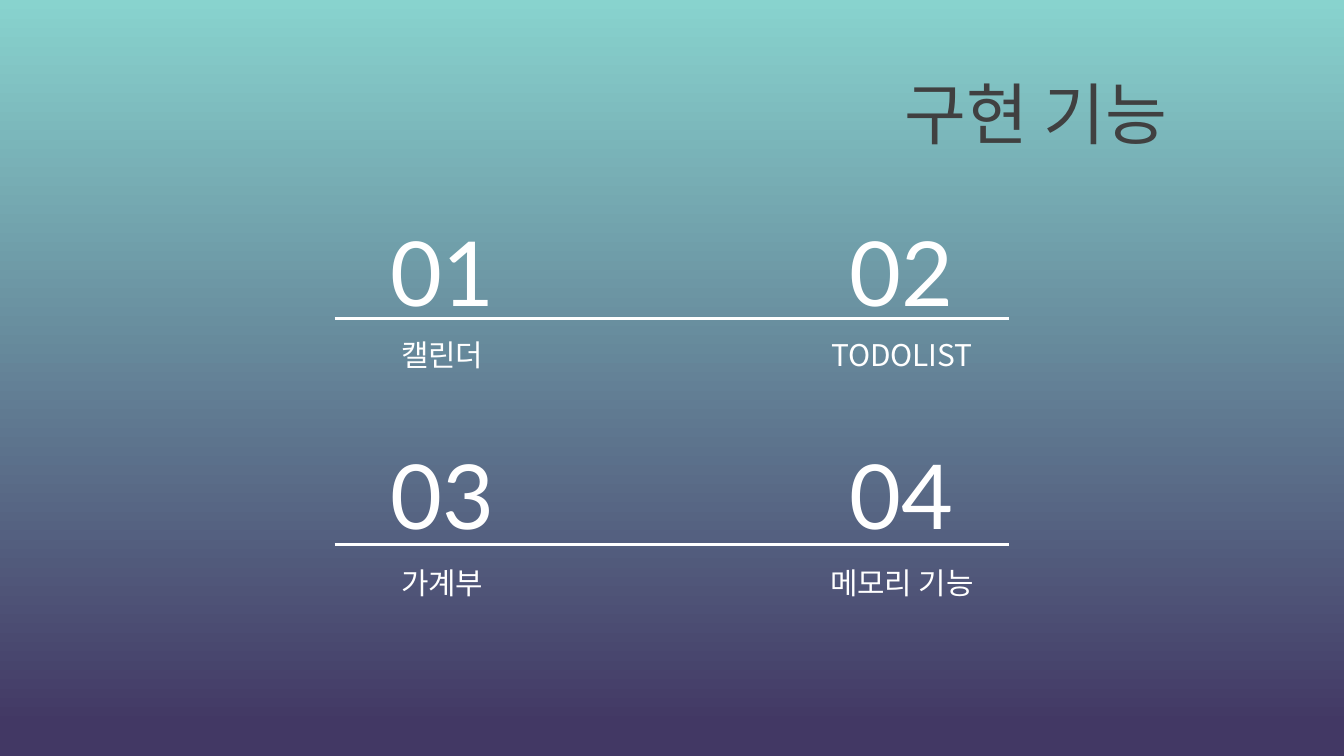
from lxml import etree
from pptx import Presentation
from pptx.dml.color import RGBColor
from pptx.enum.shapes import MSO_CONNECTOR
from pptx.enum.text import MSO_ANCHOR, PP_ALIGN
from pptx.oxml.ns import qn
from pptx.util import Inches, Pt

STRAIGHT = MSO_CONNECTOR.STRAIGHT
TOP, MIDDLE, BOTTOM = MSO_ANCHOR.TOP, MSO_ANCHOR.MIDDLE, MSO_ANCHOR.BOTTOM
CENTER, RIGHT = PP_ALIGN.CENTER, PP_ALIGN.RIGHT

WIDTH = 10
HEIGHT = WIDTH * 9 / 16
KOREAN, NUMERAL = "Noto Sans CJK KR", "Lato"
WHITE, GREY = "FFFFFF", "404040"
GRADIENT = [(0, "88D3CE"), (0.96, "423864")]

COLUMN_CENTERS = (3.29, 6.71)
RULE_ENDS = (2.49, 7.51)
BOX_HEIGHT = 0.63
# Top of the number, height of the rule, top of the caption
ROWS = [(1.7, 2.37, 2.24), (3.36, 4.05, 3.94)]
FEATURES = [("캘린더", "TODOLIST"), ("가계부", "메모리 기능")]


def color(hex_code):
    return RGBColor.from_string(hex_code)


def paint_background(slide):
    fill = slide.background.fill
    fill.gradient()
    fill.gradient_angle = 270
    for stop, (position, hex_code) in zip(fill.gradient_stops, GRADIENT):
        stop.position = position
        stop.color.rgb = color(hex_code)


def add_text(slide, text, left, top, width, height, size, font_name,
             hex_code=WHITE, align=CENTER, anchor=MIDDLE):
    box = slide.shapes.add_textbox(*map(Inches, (left, top, width, height)))
    frame = box.text_frame
    frame.word_wrap = True
    frame.vertical_anchor = anchor
    frame.margin_left = frame.margin_right = Inches(0.1)
    frame.margin_top = frame.margin_bottom = Inches(0.1)
    paragraph = frame.paragraphs[0]
    paragraph.text = text
    paragraph.alignment = align
    font = paragraph.font
    font.size = Pt(size)
    font.color.rgb = color(hex_code)
    font.name = font_name
    properties = paragraph._p.pPr.find(qn("a:defRPr"))
    etree.SubElement(properties, qn("a:ea"), typeface=font_name)


def add_centered(slide, text, center, top, width, size, font_name, anchor):
    add_text(slide, text, center - width / 2, top, width, BOX_HEIGHT,
             size, font_name, anchor=anchor)


def add_rule(slide, y):
    start, end = map(Inches, RULE_ENDS)
    rule = slide.shapes.add_connector(STRAIGHT, start, Inches(y), end, Inches(y))
    rule.line.color.rgb = color(WHITE)
    rule.line.width = Pt(1.5)
    etree.SubElement(rule._element.spPr, qn("a:effectLst"))


def main():
    deck = Presentation()
    deck.slide_width, deck.slide_height = Inches(WIDTH), Inches(HEIGHT)
    slide = deck.slides.add_slide(deck.slide_layouts[6])
    paint_background(slide)
    add_text(slide, "구현 기능", 1.23, 0.44, 7.55, 1.03, 36, KOREAN,
             GREY, RIGHT, TOP)

    number = 1
    for (number_top, rule_y, caption_top), captions in zip(ROWS, FEATURES):
        for center, caption in zip(COLUMN_CENTERS, captions):
            add_centered(slide, f"{number:02}", center, number_top, 1.92,
                         48, NUMERAL, MIDDLE)
            add_centered(slide, caption, center, caption_top, 2.88,
                         16, KOREAN, BOTTOM)
            number += 1
        add_rule(slide, rule_y)

    deck.save("out.pptx")


if __name__ == "__main__":
    main()
